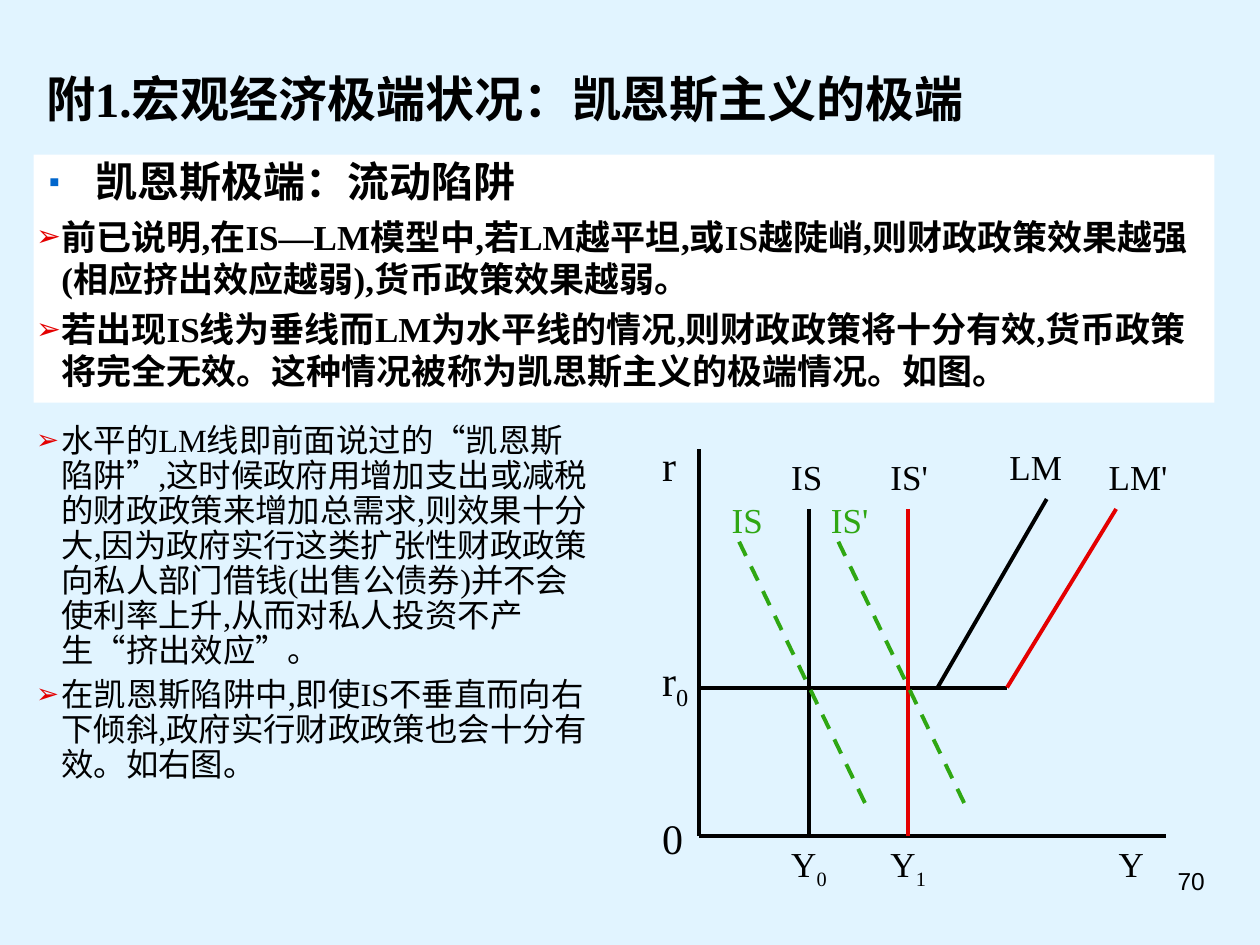
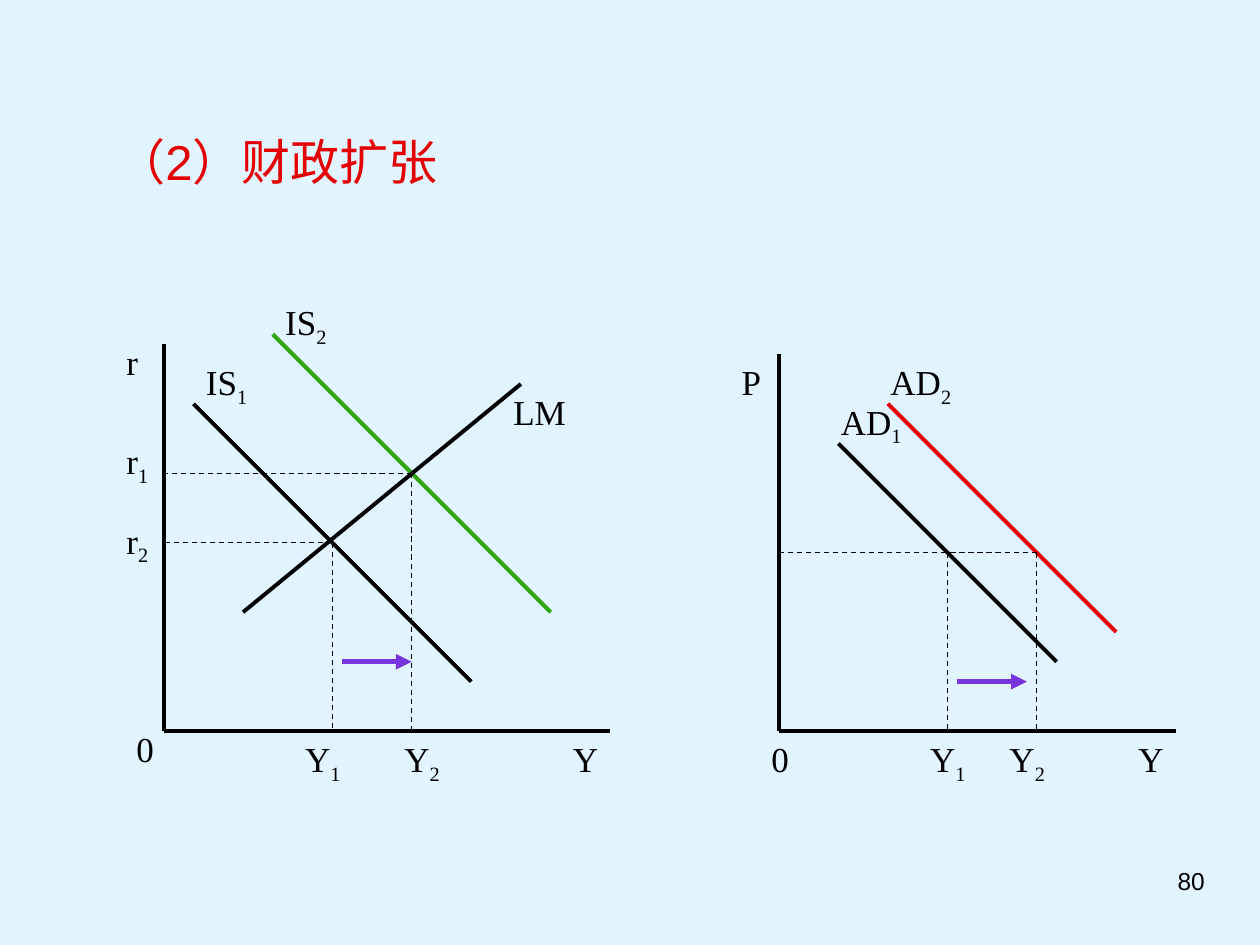
from collections import namedtuple

from lxml.etree import SubElement
from pptx import Presentation
from pptx.dml.color import RGBColor
from pptx.enum.dml import MSO_LINE
from pptx.enum.shapes import MSO_CONNECTOR
from pptx.enum.text import MSO_ANCHOR, PP_ALIGN
from pptx.oxml.ns import qn
from pptx.util import Cm, Inches, Pt

COLORS = {
    "background": "E1F4FF",
    "panel": "FFFFFF",
    "black": "000000",
    "red": "E40000",
    "green": "2FA713",
    "purple": "7935DD",
    "blue": "0066CC",
}
SERIF, SANS = "Times New Roman", "Arial"

# The slide is a grid of 0.2 cm cells: 127 columns by 95.25 rows.
CELL = Cm(0.2)
COLUMNS, ROWS = 127, 95.25
CELL_INCHES = 0.2 / 2.54

WIDE_INSET, TIGHT_INSET = (0.1, 0.05), (0.02, 0.01)
EM_WIDTHS = {"I": 0.33, "S": 0.56, "'": 0.18, "L": 0.61, "M": 0.89, "Y": 0.72,
             "A": 0.72, "D": 0.72, "P": 0.56, "r": 0.33, "0": 0.5}

Box = namedtuple("Box", "left top width height")
Bullet = namedtuple("Bullet", "symbol color percent margin hang")
Line = namedtuple("Line", "start end color weight dashed arrow",
                  defaults=("black", 2.25, False, False))
Label = namedtuple("Label", "text column row size color",
                   defaults=(20, "black"))

SQUARE = Bullet("▪", "blue", 75, 0.47, 0.37)
ARROWHEAD = Bullet("➢", "red", 85, 0.2, 0.2)


def rgb(name):
    return RGBColor.from_string(COLORS[name])


def cells(*counts):
    return [round(count * CELL) for count in counts]


def add_bullet(para, bullet):
    properties = para._p.get_or_add_pPr()
    properties.set("marL", str(Inches(bullet.margin)))
    properties.set("indent", str(-Inches(bullet.hang)))
    color = SubElement(properties, qn("a:buClr"))
    SubElement(color, qn("a:srgbClr"), val=COLORS[bullet.color])
    SubElement(properties, qn("a:buSzPct"), val=str(bullet.percent * 1000))
    SubElement(properties, qn("a:buFont"), typeface=SANS)
    SubElement(properties, qn("a:buChar"), char=bullet.symbol)


def add_text(page, box, text, size=20, font=SERIF, color="black", bold=False,
             bullet=None, align=PP_ALIGN.LEFT, anchor=MSO_ANCHOR.TOP,
             inset=WIDE_INSET, wrap=True, spacing=None, before=0, frame=None):
    """Add a paragraph to frame, or to a new box; "_" starts a subscript."""
    if frame is None:
        frame = page.shapes.add_textbox(*cells(*box)).text_frame
        frame.word_wrap = wrap
        frame.vertical_anchor = anchor
        frame.margin_left = frame.margin_right = Inches(inset[0])
        frame.margin_top = frame.margin_bottom = Inches(inset[1])
        para = frame.paragraphs[0]
    else:
        para = frame.add_paragraph()
    if bullet:
        add_bullet(para, bullet)
    para.alignment = align
    para.space_before = Pt(before)
    if spacing:
        para.line_spacing = spacing
    for position, part in enumerate(text.split("_")):
        span = para.add_run()
        span.text = part
        span.font.size = Pt(size)
        span.font.name = font
        span.font.bold = bold
        span.font.color.rgb = rgb(color)
        if position:
            span._r.get_or_add_rPr().set("baseline", "-25000")
    return frame


def add_line(page, origin, line):
    """Draw a line whose ends count columns right and rows up from origin."""
    ends = [(origin[0] + column, origin[1] - row)
            for column, row in (line.start, line.end)]
    connector = page.shapes.add_connector(
        MSO_CONNECTOR.STRAIGHT, *cells(*ends[0], *ends[1]))
    connector.line.color.rgb = rgb(line.color)
    connector.line.width = Pt(line.weight)
    if line.dashed:
        connector.line.dash_style = MSO_LINE.DASH
    if line.arrow:
        SubElement(connector.line._get_or_add_ln(), qn("a:tailEnd"),
                   type="triangle")
    SubElement(connector._element.spPr, qn("a:effectLst"))


def add_label(page, origin, label):
    """Write a label in a box just large enough for its letters."""
    main, _, subscript = label.text.partition("_")
    ems = sum(EM_WIDTHS[letter] for letter in main) + 0.29 * len(subscript)
    width = 0.2 + ems * label.size / 72
    height = 0.1 + label.size / 60 + 0.05 * len(subscript)
    box = Box(origin[0] + label.column, origin[1] - label.row,
              width / CELL_INCHES, height / CELL_INCHES)
    add_text(page, box, label.text, size=label.size, color=label.color,
             wrap=False)


def add_diagram(page, box, lines, labels):
    """Draw axes on the left and bottom of box, then its curves and labels."""
    origin = (box.left, box.top + box.height)
    axes = [Line((0, box.height), (0, 0)), Line((0, 0), (box.width, 0))]
    for line in axes + lines:
        add_line(page, origin, line)
    for label in labels:
        add_label(page, origin, label)


def guides(*points):
    """Thin dashed lines from each point to both axes."""
    return [Line((column, row), foot, weight=0.75, dashed=True)
            for column, row in points for foot in ((0, row), (column, 0))]


def shift_arrow(start, end, row):
    return Line((start, row), (end, row), "purple", 3, arrow=True)


def add_page(deck, number):
    page = deck.slides.add_slide(deck.slide_layouts[6])
    page.background.fill.solid()
    page.background.fill.fore_color.rgb = rgb("background")
    add_text(page, Box(90.9, 86.7, 31.8, 6.6), number, size=14, font=SANS,
             align=PP_ALIGN.RIGHT)
    return page


def add_panel(page, box):
    frame = add_text(page, box, "凯恩斯极端：流动陷阱", size=24, font=SANS,
                     bold=True, bullet=SQUARE, inset=TIGHT_INSET)
    panel = page.shapes[-1]
    panel.fill.solid()
    panel.fill.fore_color.rgb = rgb("panel")
    for text in (
        "前已说明,在IS—LM模型中,若LM越平坦,或IS越陡峭,则财政政策效果越强"
        "(相应挤出效应越弱),货币政策效果越弱。",
        "若出现IS线为垂线而LM为水平线的情况,则财政政策将十分有效,货币政策将"
        "完全无效。这种情况被称为凯思斯主义的极端情况。如图。",
    ):
        add_text(page, box, text, bold=True, bullet=ARROWHEAD, before=5,
                 frame=frame)


def add_explanation(page, box):
    style = dict(size=18.5, bullet=ARROWHEAD, spacing=0.9, inset=TIGHT_INSET)
    frame = add_text(
        page, box,
        "水平的LM线即前面说过的“凯恩斯陷阱”,这时候政府用增加支出或减税的财政"
        "政策来增加总需求,则效果十分大,因为政府实行这类扩张性财政政策向私人部门"
        "借钱(出售公债券)并不会使利率上升,从而对私人投资不产生“挤出效应”。",
        **style)
    add_text(
        page, box,
        "在凯恩斯陷阱中,即使IS不垂直而向右下倾斜,政府实行财政政策也会十分有效。"
        "如右图。",
        before=5, frame=frame, **style)


def add_trap_diagram(page, box):
    rate = 15
    lines = [
        Line((0, rate), (31, rate)),
        Line((11, 33), (11, 0)),
        Line((21, 33), (21, 0), "red"),
        Line((24, rate), (35, 34)),
        Line((31, rate), (42, 33), "red"),
    ]
    labels = [
        Label("r", -5, 40.6, 24), Label("r_0", -5, 19, 24),
        Label("0", -5, 3, 24), Label("Y", 41, 0),
        Label("LM", 30, 40), Label("LM'", 40, 39),
    ]
    for index, name in enumerate(("IS", "IS'")):
        shift = 10 * index
        lines.append(Line((4 + shift, 29.7), (17 + shift, 2.7), "green",
                          dashed=True))
        labels += [Label(name, 8 + shift, 39),
                   Label(name, 2 + shift, 34.7, color="green"),
                   Label(f"Y_{index}", 8 + shift, 0)]
    add_diagram(page, box, lines, labels)


def add_is_lm_diagram(page, box):
    lines = [
        Line((11, 40), (39, 12), "green"),
        Line((8, 12), (36, 35)),
        Line((3, 33), (31, 5)),
        *guides((25, 26), (17, 19)),
        shift_arrow(18, 25, 7),
    ]
    labels = [
        Label("r", -5, 40), Label("r_1", -5, 30), Label("r_2", -5, 22),
        Label("0", -4, 1), Label("Y_1", 13, 0), Label("Y_2", 23, 0),
        Label("Y", 40, 0), Label("LM", 34, 35),
        Label("IS_1", 3, 38), Label("IS_2", 11, 44),
    ]
    add_diagram(page, box, lines, labels)


def add_demand_diagram(page, box):
    price = 18
    lines = [
        Line((6, 29), (28, 7)),
        Line((11, 33), (34, 10), "red"),
        Line((0, price), (26, price), weight=0.75, dashed=True),
        *[Line((column, price), (column, 0), weight=0.75, dashed=True)
          for column in (17, 26)],
        shift_arrow(18, 25, 5),
    ]
    labels = [
        Label("P", -5, 38), Label("0", -2, 0), Label("Y_1", 14, 0),
        Label("Y_2", 22, 0), Label("Y", 35, 0),
        Label("AD_1", 5, 34), Label("AD_2", 10, 38),
    ]
    add_diagram(page, box, lines, labels)


def add_keynesian_page(deck):
    page = add_page(deck, "70")
    add_text(page, Box(3.4, 5.6, 110, 8.5),
             "附1.宏观经济极端状况：凯恩斯主义的极端",
             size=28, bold=True, anchor=MSO_ANCHOR.MIDDLE)
    add_panel(page, Box(3.4, 15.6, 119, 25))
    add_explanation(page, Box(3.4, 42.7, 56.1, 45.5))
    add_trap_diagram(page, Box(70.5, 45.3, 47, 39))


def add_expansion_page(deck):
    page = add_page(deck, "80")
    add_text(page, Box(10.5, 12.6, 42.3, 7.3), "（2）财政扩张",
             size=28, font=SANS, color="red")
    add_is_lm_diagram(page, Box(16.5, 34.7, 45, 39))
    add_demand_diagram(page, Box(78.5, 35.7, 40, 38))


def main():
    deck = Presentation()
    deck.slide_width, deck.slide_height = cells(COLUMNS, ROWS)
    add_keynesian_page(deck)
    add_expansion_page(deck)
    deck.save("out.pptx")


if __name__ == "__main__":
    main()
